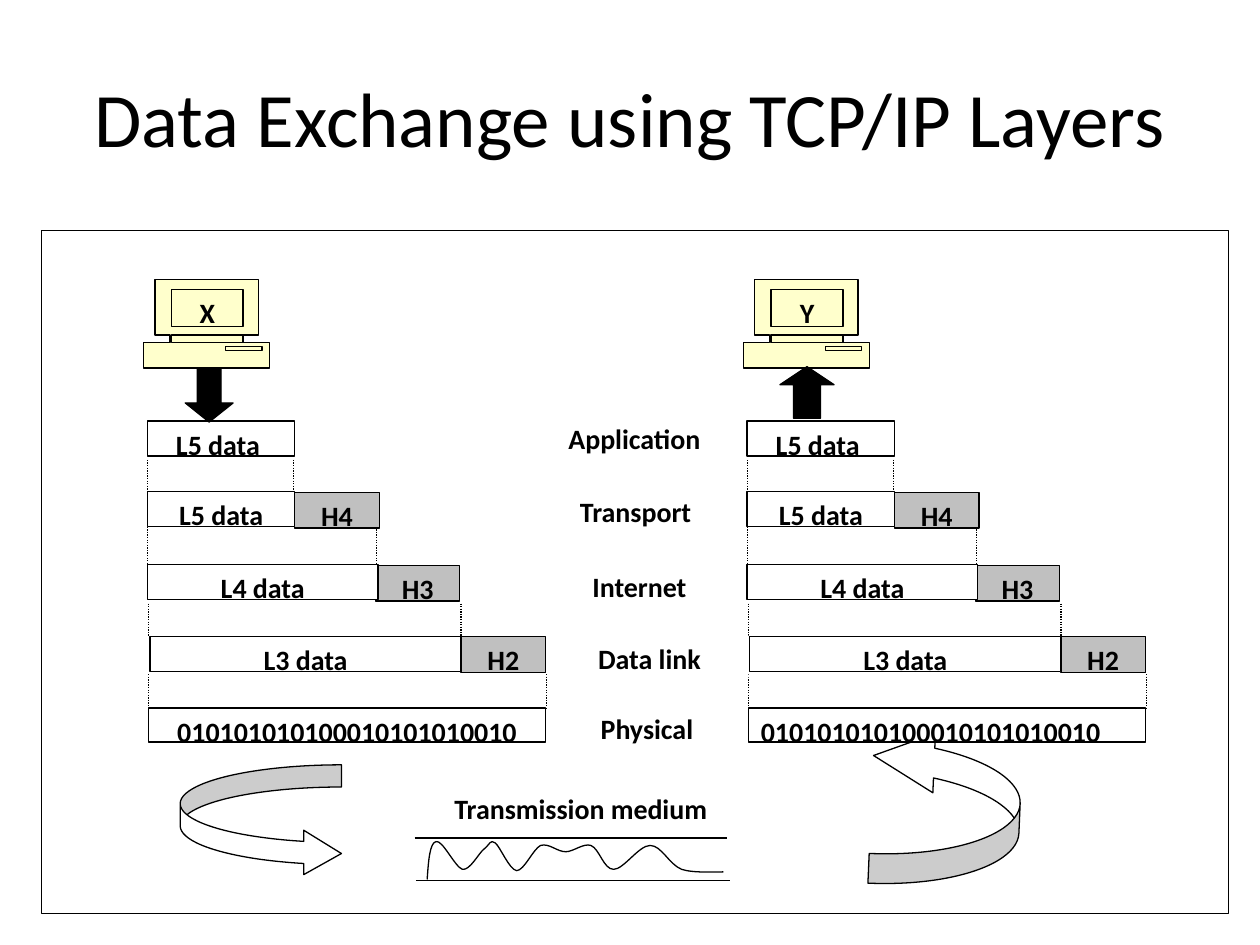
from dataclasses import dataclass

from lxml import etree
from pptx import Presentation
from pptx.dml.color import RGBColor
from pptx.enum import dml, shapes, text
from pptx.oxml.ns import qn
from pptx.util import Inches, Pt

Kind = shapes.MSO_SHAPE
Align = text.PP_ALIGN


@dataclass(frozen=True)
class Theme:
    font: str = "Calibri"
    ink: str = "000000"
    paper: str = "FFFFFF"
    header: str = "C0C0C0"
    computer: str = "FFFFCC"
    title_size: float = 44
    label_size: float = 16
    line_width: float = 0.75


@dataclass(frozen=True)
class Box:
    left: float
    top: float
    width: float
    height: float
    label: str = ""
    fill: str = Theme.paper


@dataclass(frozen=True)
class Gap:
    left: float
    right: float
    top: float
    bottom: float


THEME = Theme()
HOST_PITCH = 4.76

FRAMES = [
    Box(1.17, 3.34, 1.17, 0.28, "L5 data "),
    Box(2.34, 3.91, 0.67, 0.28, "H4", THEME.header),
    Box(1.17, 3.9, 1.17, 0.28, "L5 data"),
    Box(2.98, 4.49, 0.67, 0.28, "H3", THEME.header),
    Box(1.17, 4.48, 1.83, 0.28, "L4 data"),
    Box(3.66, 5.05, 0.67, 0.29, "H2", THEME.header),
    Box(1.19, 5.05, 2.47, 0.28, "L3 data"),
]
BITS = Box(1.18, 5.62, 3.15, 0.27, "010101010100010101010010")
GAPS = [
    Gap(1.17, 2.33, 3.65, 3.9),
    Gap(1.17, 2.99, 4.18, 4.48),
    Gap(1.18, 3.66, 4.79, 5.05),
    Gap(1.18, 4.34, 5.35, 5.63),
]
LAYERS = [
    Box(4.25, 3.3, 1.57, 0.34, "Application"),
    Box(4.26, 3.88, 1.57, 0.34, "Transport"),
    Box(4.29, 4.47, 1.57, 0.34, "Internet"),
    Box(4.37, 5.04, 1.57, 0.34, "Data link"),
    Box(4.35, 5.6, 1.57, 0.34, "Physical"),
]
COMPUTER_HALF = [(0, 0), (0.41, 0), (0.41, 0.44), (0.29, 0.44),
                 (0.29, 0.5), (0.5, 0.5), (0.5, 0.7)]
WAVE = [
    (3.39, 6.98),
    (3.4, 6.84), (3.41, 6.69), (3.46, 6.68),
    (3.51, 6.66), (3.61, 6.88), (3.67, 6.9),
    (3.73, 6.91), (3.8, 6.77), (3.84, 6.74),
    (3.89, 6.7), (3.89, 6.66), (3.93, 6.69),
    (3.97, 6.72), (4.04, 6.9), (4.1, 6.91),
    (4.16, 6.91), (4.23, 6.74), (4.29, 6.71),
    (4.36, 6.69), (4.42, 6.76), (4.49, 6.76),
    (4.55, 6.76), (4.63, 6.69), (4.69, 6.71),
    (4.76, 6.74), (4.79, 6.9), (4.87, 6.9),
    (4.95, 6.9), (5.07, 6.71), (5.16, 6.71),
    (5.25, 6.71), (5.31, 6.86), (5.41, 6.9),
    (5.5, 6.93), (5.68, 6.92), (5.74, 6.92),
]


def write(frame, content: str, size: float, bold: bool = True, align=Align.CENTER) -> None:
    paragraph = frame.paragraphs[0]
    paragraph.alignment = align
    run = paragraph.add_run()
    run.text = content
    run.font.name = THEME.font
    run.font.size = Pt(size)
    run.font.bold = bold
    run.font.color.rgb = RGBColor.from_string(THEME.ink)


def style(shape, fill: str | None, outlined: bool = True) -> None:
    shape.shadow.inherit = False
    if fill:
        shape.fill.solid()
        shape.fill.fore_color.rgb = RGBColor.from_string(fill)
    else:
        shape.fill.background()
    if outlined:
        shape.line.color.rgb = RGBColor.from_string(THEME.ink)
        shape.line.width = Pt(THEME.line_width)
    else:
        shape.line.fill.background()


def draw_box(slide, box: Box, offset: float = 0, kind=Kind.RECTANGLE,
             outlined: bool = True, align=Align.CENTER, adjustments: tuple = ()):
    shape = slide.shapes.add_shape(kind, Inches(box.left + offset), Inches(box.top),
                                   Inches(box.width), Inches(box.height))
    style(shape, box.fill, outlined)
    for index, value in enumerate(adjustments):
        shape.adjustments[index] = value
    if box.label:
        shape.text_frame.vertical_anchor = text.MSO_ANCHOR.TOP
        write(shape.text_frame, box.label, THEME.label_size, align=align)
    return shape


def draw_line(slide, start: tuple, end: tuple, dotted: bool = False) -> None:
    line = slide.shapes.add_connector(shapes.MSO_CONNECTOR.STRAIGHT,
                                      *(Inches(value) for value in start + end))
    line.line.color.rgb = RGBColor.from_string(THEME.ink)
    line.line.width = Pt(THEME.line_width)
    if dotted:
        line.line.dash_style = dml.MSO_LINE.ROUND_DOT
    etree.SubElement(line._element.spPr, qn("a:effectLst"))


def draw_freeform(slide, points: list, fill: str | None, closed: bool):
    start, *rest = [(Inches(x), Inches(y)) for x, y in points]
    builder = slide.shapes.build_freeform(*start)
    builder.add_line_segments(rest, close=closed)
    shape = builder.convert_to_shape()
    style(shape, fill)
    return shape


def draw_wave(slide) -> None:
    outline = draw_freeform(slide, WAVE, None, False)._element.find(".//" + qn("a:path"))
    segments = outline.findall(qn("a:lnTo"))
    for first in range(0, len(segments), 3):
        curve = etree.SubElement(outline, qn("a:cubicBezTo"))
        for segment in segments[first:first + 3]:
            curve.append(segment[0])
            outline.remove(segment)


def draw_computer(slide, name: str, offset: float) -> None:
    center, top = 1.64 + offset, 2.22
    right = [(center + x, top + y) for x, y in COMPUTER_HALF]
    left = [(center - x, top + y) for x, y in reversed(COMPUTER_HALF[1:])]
    draw_freeform(slide, right + left, THEME.computer, True)
    for part in (Box(1.36, 2.66, 0.57, 0.06, fill=THEME.computer),
                 Box(1.36, 2.3, 0.57, 0.29, name, THEME.computer),
                 Box(1.79, 2.75, 0.29, 0.03, fill=THEME.computer)):
        draw_box(slide, part, offset)


def draw_host(slide, name: str, offset: float, bits_align) -> None:
    draw_computer(slide, name, offset)
    draw_box(slide, BITS, offset, align=bits_align)
    for gap in GAPS:
        for x in (gap.left + offset, gap.right + offset):
            draw_line(slide, (x, gap.top), (x, gap.bottom), dotted=True)
    for frame in FRAMES:
        draw_box(slide, frame, offset)


def draw_medium(slide) -> None:
    draw_box(slide, Box(1.43, 6.07, 1.28, 0.88), kind=Kind.CURVED_RIGHT_ARROW,
             adjustments=(0.2, 0.4, 0.34))
    upward = draw_box(slide, Box(6.88, 5.82, 1.25, 1.18), kind=Kind.CURVED_UP_ARROW,
                      adjustments=(0.2, 0.4, 0.41))
    upward.rotation = 272.5
    caption = slide.shapes.add_textbox(Inches(3.17), Inches(6.23), Inches(2.88), Inches(0.4))
    caption.text_frame.word_wrap = True
    write(caption.text_frame, "Transmission medium", THEME.label_size)
    draw_line(slide, (3.29, 6.65), (5.77, 6.65))
    draw_line(slide, (3.3, 6.99), (5.79, 6.99))
    draw_wave(slide)


def main() -> None:
    presentation = Presentation()
    presentation.slide_width, presentation.slide_height = Inches(10), Inches(7.5)
    slide = presentation.slides.add_slide(presentation.slide_layouts[5])
    title = slide.shapes.title
    title.left, title.top = Inches(0.5), Inches(0.3)
    title.width, title.height = Inches(9), Inches(1.25)
    title.text_frame.vertical_anchor = text.MSO_ANCHOR.MIDDLE
    write(title.text_frame, "Data Exchange using TCP/IP Layers", THEME.title_size, bold=False)

    draw_box(slide, Box(0.33, 1.83, 9.42, 5.42))
    draw_medium(slide)
    draw_host(slide, "X", 0, Align.CENTER)
    draw_host(slide, "Y", HOST_PITCH, Align.LEFT)
    draw_box(slide, Box(1.47, 2.93, 0.38, 0.42, fill=THEME.ink), kind=Kind.DOWN_ARROW,
             adjustments=(0.5, 0.4))
    draw_box(slide, Box(6.19, 2.91, 0.43, 0.41, fill=THEME.ink), kind=Kind.UP_ARROW,
             adjustments=(0.5, 0.35))
    for layer in LAYERS:
        draw_box(slide, layer, outlined=False)
    presentation.save("out.pptx")


if __name__ == "__main__":
    main()
